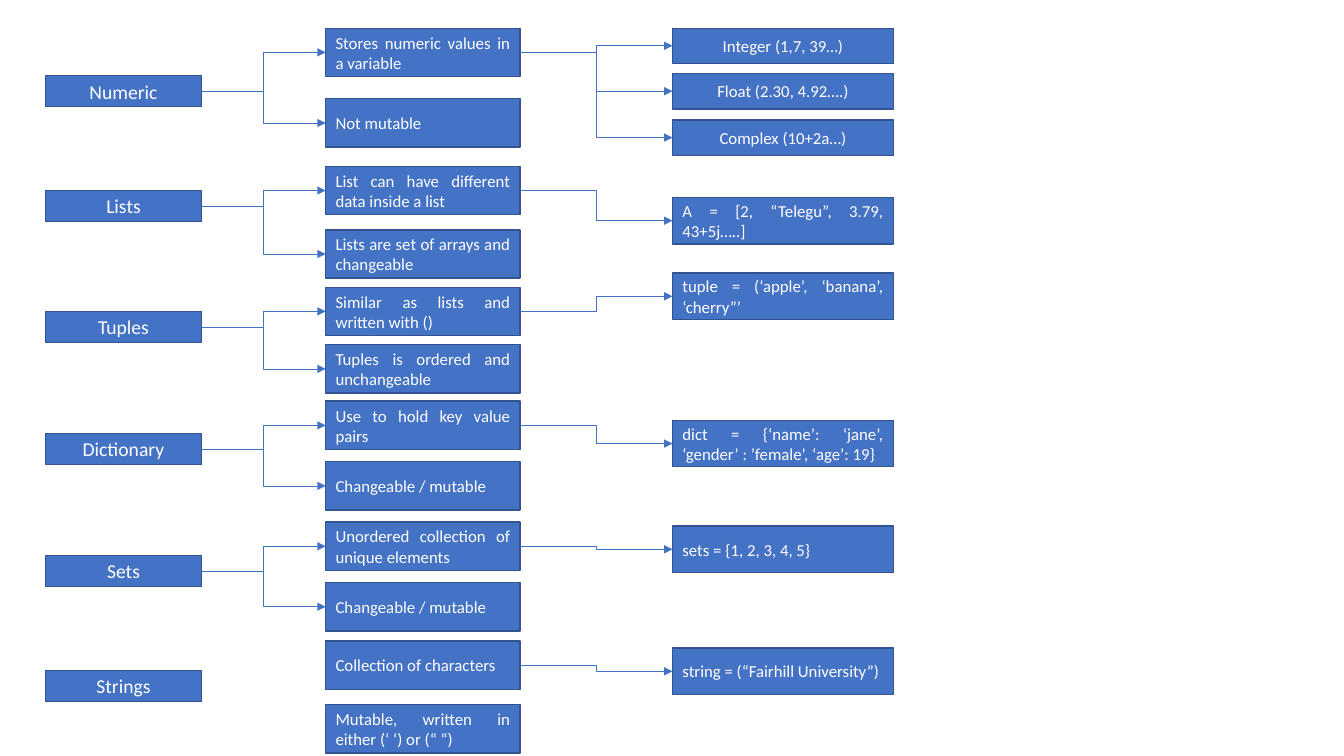
"""Build a slide that maps data types to their traits and examples."""
from lxml.etree import SubElement
from pptx import Presentation
from pptx.dml.color import RGBColor
from pptx.enum.shapes import MSO_CONNECTOR as Connector, MSO_SHAPE as Preset
from pptx.enum.text import MSO_ANCHOR as Anchor, PP_ALIGN as Align
from pptx.oxml.ns import qn
from pptx.util import Inches, Pt

color = RGBColor.from_string
BLUE, EDGE, WHITE = "4472C4", "325491", "FFFFFF"
TYPE = {"left": 0.45, "width": 1.55, "height": 0.31, "size": 14, "align": Align.CENTER}
TRAIT = {"left": 3.23, "width": 1.93, "height": 0.48}
EXAMPLE = {"left": 6.67, "width": 2.19, "height": 0.46}
NUMBER = {**EXAMPLE, "height": 0.35, "align": Align.CENTER}

presentation = Presentation()
presentation.slide_width, presentation.slide_height = Inches(13.33), Inches(7.5)
slide = presentation.slides.add_slide(presentation.slide_layouts[6])


def add_box(text, top, left, width, height, size=12, align=Align.JUSTIFY):
    shape = slide.shapes.add_shape(
        Preset.RECTANGLE, Inches(left), Inches(top), Inches(width), Inches(height))
    shape.shadow.inherit = False
    shape.fill.solid()
    shape.fill.fore_color.rgb = color(BLUE)
    shape.line.color.rgb = color(EDGE)
    shape.line.width = Pt(1)
    shape.text_frame.word_wrap = True
    shape.text_frame.vertical_anchor = Anchor.MIDDLE
    paragraph = shape.text_frame.paragraphs[0]
    paragraph.alignment = align
    run = paragraph.add_run()
    run.text = text
    run.font.name, run.font.size = "Calibri", Pt(size)
    run.font.color.rgb = color(WHITE)
    return shape


def add_arrow(source, target):
    arrow = slide.shapes.add_connector(
        Connector.ELBOW,
        source.left + source.width, source.top + source.height // 2,
        target.left, target.top + target.height // 2)
    arrow.begin_connect(source, 3)
    arrow.end_connect(target, 1)
    arrow.line.color.rgb = color(BLUE)
    arrow.line.width = Pt(0.5)
    SubElement(arrow.line._get_or_add_ln(), qn("a:tailEnd"), type="triangle")
    SubElement(arrow._element.spPr, qn("a:effectLst"))


data_types = [
    ("Numeric", 0.75,
     [("Stores numeric values in a variable", 0.28), ("Not mutable", 0.98)],
     [("Integer (1,7, 39…)", 0.28), ("Float (2.30, 4.92….)", 0.73),
      ("Complex (10+2a…)", 1.19)]),
    ("Lists", 1.89,
     [("List can have different data inside a list", 1.65),
      ("Lists are set of arrays and changeable", 2.28)],
     [("A = [2, “Telegu”, 3.79, 43+5j…..]", 1.96)]),
    ("Tuples", 3.09,
     [("Similar as lists and written with ()", 2.85),
      ("Tuples is ordered and unchangeable", 3.42)],
     [("tuple = (‘apple’, ‘banana’, ‘cherry”’", 2.71)]),
    ("Dictionary", 4.3,
     [("Use to hold key value pairs", 3.98), ("Changeable / mutable", 4.58)],
     [("dict = {‘name’: ‘jane’, ‘gender’ : ’female’, ‘age’: 19}", 4.17)]),
    ("Sets", 5.51,
     [("Unordered collection of unique elements", 5.18), ("Changeable / mutable", 5.78)],
     [("sets = {1, 2, 3, 4, 5}", 5.22)]),
    ("Strings", 6.65,
     [("Collection of characters", 6.36),
      ("Mutable, written in either (‘ ‘) or (“ “)", 6.99)],
     [("string = (“Fairhill University”)", 6.43)]),
]

for name, name_top, traits, examples in data_types:
    type_box = add_box(name, name_top, **TYPE)
    trait_boxes = [add_box(text, top, **TRAIT) for text, top in traits]
    example_format = NUMBER if name == "Numeric" else EXAMPLE
    example_boxes = [add_box(text, top, **example_format) for text, top in examples]
    if name != "Strings":
        for trait_box in trait_boxes:
            add_arrow(type_box, trait_box)
    for example_box in example_boxes:
        add_arrow(trait_boxes[0], example_box)

presentation.save("out.pptx")
